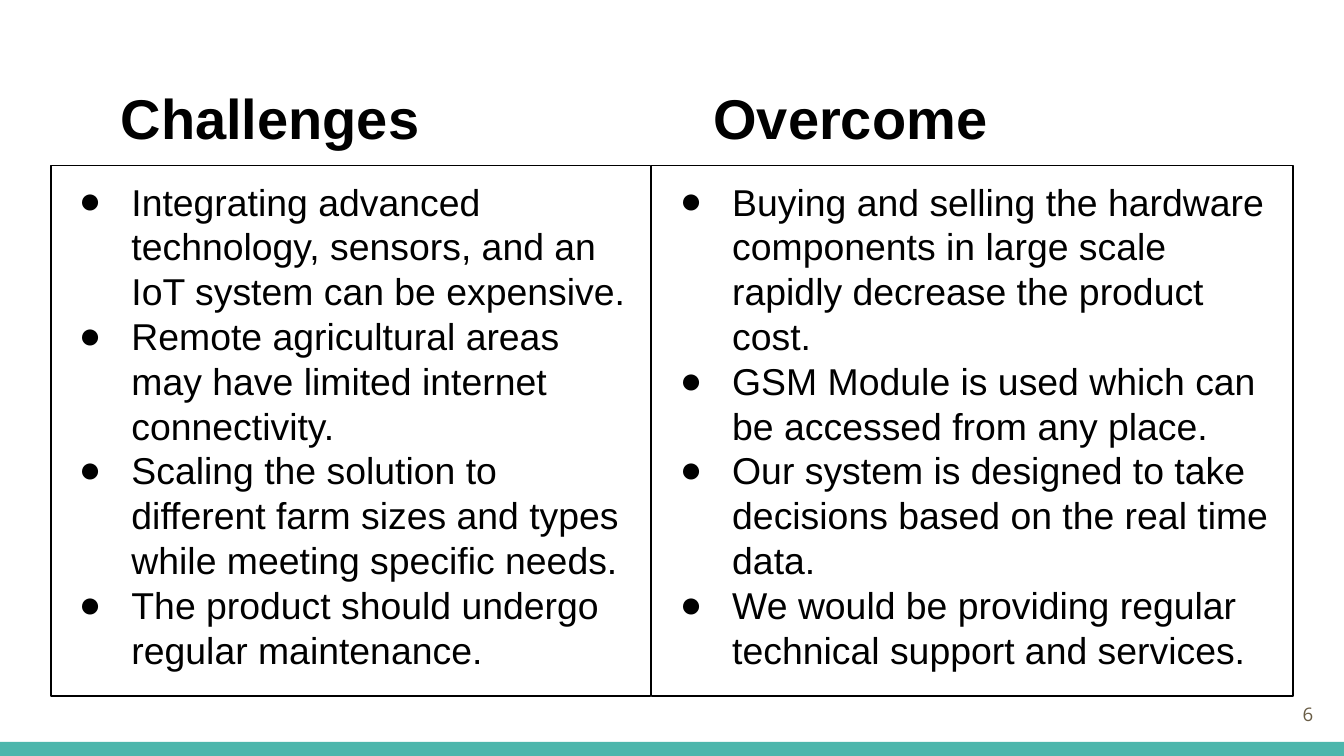
from lxml import etree
from pptx import Presentation
from pptx.dml.color import RGBColor
from pptx.enum.shapes import MSO_SHAPE
from pptx.enum.text import MSO_ANCHOR, PP_ALIGN
from pptx.oxml.ns import qn
from pptx.util import Inches, Pt

RECTANGLE = MSO_SHAPE.RECTANGLE
TOP, MIDDLE = MSO_ANCHOR.TOP, MSO_ANCHOR.MIDDLE
LEFT, RIGHT = PP_ALIGN.LEFT, PP_ALIGN.RIGHT
BLACK = RGBColor(0x00, 0x00, 0x00)
WHITE = RGBColor(0xFF, 0xFF, 0xFF)
TEAL = RGBColor(0x4D, 0xB6, 0xAC)
BROWN = RGBColor(0x69, 0x5D, 0x46)

COLUMNS = [
    (0.38, 4.46, [
        "Integrating advanced technology, sensors, and an IoT system can be expensive.",
        "Remote agricultural areas may have limited internet connectivity.",
        "Scaling the solution to different farm sizes and types while meeting specific needs.",
        "The product should undergo regular maintenance.",
    ]),
    (4.85, 4.77, [
        "Buying and selling the hardware components in large scale rapidly decrease the product cost.",
        "GSM Module is used which can be accessed from any place.",
        "Our system is designed to take decisions based on the real time data.",
        "We would be providing regular technical support and services.",
    ]),
]


def set_up_frame(shape, anchor):
    frame = shape.text_frame
    frame.word_wrap = True
    frame.vertical_anchor = anchor
    frame.margin_left = frame.margin_right = Inches(0.1)
    frame.margin_top = frame.margin_bottom = Inches(0.1)
    return frame


def style_paragraph(paragraph, font_name, size, color, alignment=LEFT):
    paragraph.alignment = alignment
    paragraph.font.name = font_name
    paragraph.font.size = Pt(size)
    paragraph.font.color.rgb = color


presentation = Presentation()
presentation.slide_width = Inches(10)
presentation.slide_height = Inches(10) * 9 // 16
slide = presentation.slides.add_slide(presentation.slide_layouts[6])
slide.background.fill.solid()
slide.background.fill.fore_color.rgb = WHITE

footer_bar = slide.shapes.add_shape(
    RECTANGLE, Inches(0), Inches(5.52), Inches(10), Inches(0.11))
footer_bar.shadow.inherit = False
footer_bar.fill.solid()
footer_bar.fill.fore_color.rgb = TEAL
footer_bar.line.fill.background()

page_number = slide.shapes.add_textbox(
    Inches(9.27), Inches(5.1), Inches(0.6), Inches(0.43))
paragraph = set_up_frame(page_number, MIDDLE).paragraphs[0]
paragraph.text = "6"
style_paragraph(paragraph, "Open Sans", 10, BROWN, RIGHT)

title = slide.shapes.add_textbox(
    Inches(0.8), Inches(0.45), Inches(8.41), Inches(0.59))
paragraph = set_up_frame(title, TOP).paragraphs[0]
paragraph.text = "Challenges\tOvercome"
style_paragraph(paragraph, "Arial", 30, BLACK)
paragraph.font.bold = True
paragraph.line_spacing = 1.15
properties = paragraph._p.get_or_add_pPr()
tab_list = etree.Element(qn("a:tabLst"))
etree.SubElement(tab_list, qn("a:tab"), pos=str(Inches(4.41)), algn="l")
properties.find(qn("a:defRPr")).addprevious(tab_list)

for left, width, points in COLUMNS:
    panel = slide.shapes.add_shape(
        RECTANGLE, Inches(left), Inches(1.23), Inches(width), Inches(3.95))
    panel.shadow.inherit = False
    panel.fill.solid()
    panel.fill.fore_color.rgb = WHITE
    panel.line.color.rgb = BLACK
    panel.line.width = Pt(0.75)
    frame = set_up_frame(panel, TOP)
    for index, point in enumerate(points):
        paragraph = frame.add_paragraph() if index else frame.paragraphs[0]
        paragraph.text = point
        style_paragraph(paragraph, "Arial", 20, BLACK)
        paragraph.line_spacing = Pt(24)
        properties = paragraph._p.get_or_add_pPr()
        properties.set("marL", str(Inches(0.5)))
        properties.set("indent", str(Inches(-0.39)))
        default_run = properties.find(qn("a:defRPr"))
        default_run.addprevious(etree.Element(qn("a:buFont"), typeface="Arial"))
        default_run.addprevious(etree.Element(qn("a:buChar"), char="●"))

presentation.save("out.pptx")
